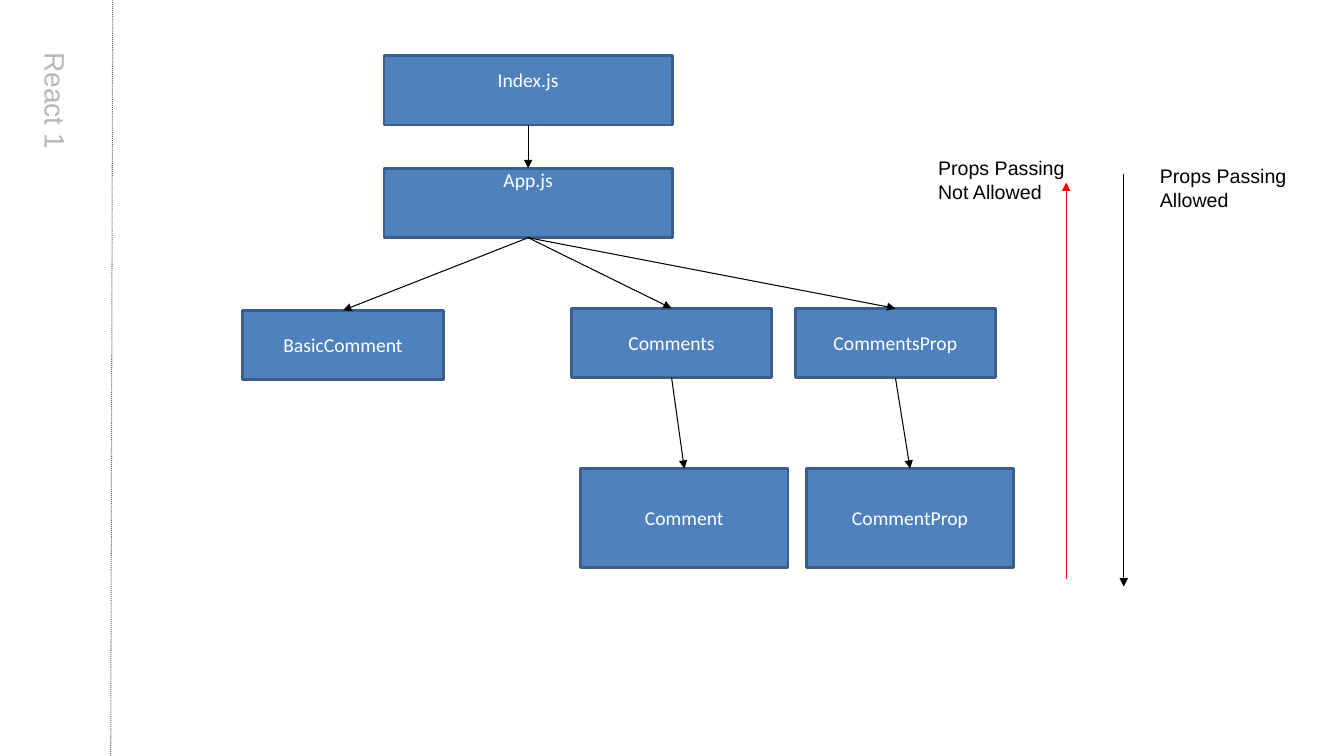
from dataclasses import dataclass
from typing import Optional

from lxml import etree
from pptx import Presentation
from pptx import util as u
from pptx.dml.color import RGBColor
from pptx.enum import dml, shapes, text
from pptx.oxml import ns

COLORS = {
    "fill": "4F81BD",
    "border": "3A5F8C",
    "white": "FFFFFF",
    "black": "000000",
    "red": "FF0000",
    "title": "B7B7B7",
    "divider": "666666",
}
TOP, BOTTOM = 0, 2


@dataclass
class Node:
    name: str
    left: float
    top: float
    width: float = 5.05
    height: float = 1.75
    text_inset: Optional[float] = None


@dataclass
class Line:
    start: tuple[float, float]
    end: tuple[float, float]
    color: str = "black"
    arrow: bool = True


@dataclass
class Label:
    words: str
    left: float
    top: float
    width: float = 3.89
    height: float = 1.45
    size: int = 14
    color: str = "black"
    inset: tuple[float, float] = (0.25, 0.13)
    rotation: int = 0


NODES = [
    Node("Index.js", 9.68, 1.4, width=7.26, text_inset=0.3),
    Node("App.js", 9.68, 4.24, width=7.26, text_inset=0),
    Node("BasicComment", 6.12, 7.82),
    Node("Comments", 14.4, 7.77),
    Node("CommentsProp", 20.04, 7.77),
    Node("Comment", 14.63, 11.81, 5.23, 2.49),
    Node("CommentProp", 20.32, 11.81, 5.23, 2.49),
]
LINKS = [
    ("Index.js", "App.js"),
    ("App.js", "BasicComment"),
    ("App.js", "Comments"),
    ("App.js", "CommentsProp"),
    ("Comments", "Comment"),
    ("CommentsProp", "CommentProp"),
]
DIVIDER = Line((2.79, 19.05), (2.84, 0), "divider", arrow=False)
PROP_ARROWS = [
    Line((28.32, 4.39), (28.32, 14.78)),
    Line((26.87, 14.58), (26.87, 4.6), "red"),
]
LABELS = [
    Label("React 1", -4.19, 6.48, 11.18, 0.86, 20, "title", (0, 0), 90),
    Label("Props Passing Allowed", 28.98, 4.01),
    Label("Props Passing Not Allowed", 23.39, 3.81),
]


def rgb(name: str) -> RGBColor:
    return RGBColor.from_string(COLORS[name])


def write(frame, words: str, font: str, size: int, color: str) -> None:
    frame.word_wrap = True
    frame.text = words
    span = frame.paragraphs[0].runs[0]
    span.font.name = font
    span.font.size = u.Pt(size)
    span.font.color.rgb = rgb(color)


def draw_node(page, node: Node):
    box = page.shapes.add_shape(
        shapes.MSO_SHAPE.RECTANGLE,
        u.Cm(node.left), u.Cm(node.top), u.Cm(node.width), u.Cm(node.height),
    )
    box.shadow.inherit = False
    box.fill.solid()
    box.fill.fore_color.rgb = rgb("fill")
    box.line.color.rgb = rgb("border")
    box.line.width = u.Pt(2)
    frame = box.text_frame
    write(frame, node.name, "Calibri", 14, "white")
    frame.paragraphs[0].alignment = text.PP_ALIGN.CENTER
    frame.vertical_anchor = text.MSO_ANCHOR.MIDDLE
    if node.text_inset is not None:
        frame.vertical_anchor = text.MSO_ANCHOR.TOP
        frame.margin_top = u.Cm(node.text_inset)
    return box


def draw_line(page, line: Line):
    connector = page.shapes.add_connector(
        shapes.MSO_CONNECTOR.STRAIGHT,
        *(u.Cm(value) for value in line.start + line.end),
    )
    connector.line.color.rgb = rgb(line.color)
    connector.line.width = u.Pt(0.75)
    if line.arrow:
        outline = connector.line._get_or_add_ln()
        etree.SubElement(outline, ns.qn("a:tailEnd"), type="triangle")
    etree.SubElement(connector._element.spPr, ns.qn("a:effectLst"))
    return connector


def draw_link(page, parent, child) -> None:
    connector = draw_line(page, Line((0, 0), (1, 1)))
    connector.begin_connect(parent, BOTTOM)
    connector.end_connect(child, TOP)


def draw_label(page, label: Label) -> None:
    box = page.shapes.add_textbox(
        u.Cm(label.left), u.Cm(label.top), u.Cm(label.width), u.Cm(label.height)
    )
    box.rotation = label.rotation
    frame = box.text_frame
    write(frame, label.words, "Arial", label.size, label.color)
    across, down = (u.Cm(value) for value in label.inset)
    frame.margin_left = frame.margin_right = across
    frame.margin_top = frame.margin_bottom = down


def main() -> None:
    deck = Presentation()
    deck.slide_width, deck.slide_height = u.Cm(33.87), u.Cm(19.05)
    page = deck.slides.add_slide(deck.slide_layouts[6])

    divider = draw_line(page, DIVIDER)
    divider.line.dash_style = dml.MSO_LINE.ROUND_DOT
    boxes = {node.name: draw_node(page, node) for node in NODES}
    for parent, child in LINKS:
        draw_link(page, boxes[parent], boxes[child])
    for arrow in PROP_ARROWS:
        draw_line(page, arrow)
    for label in LABELS:
        draw_label(page, label)

    deck.save("out.pptx")


if __name__ == "__main__":
    main()
